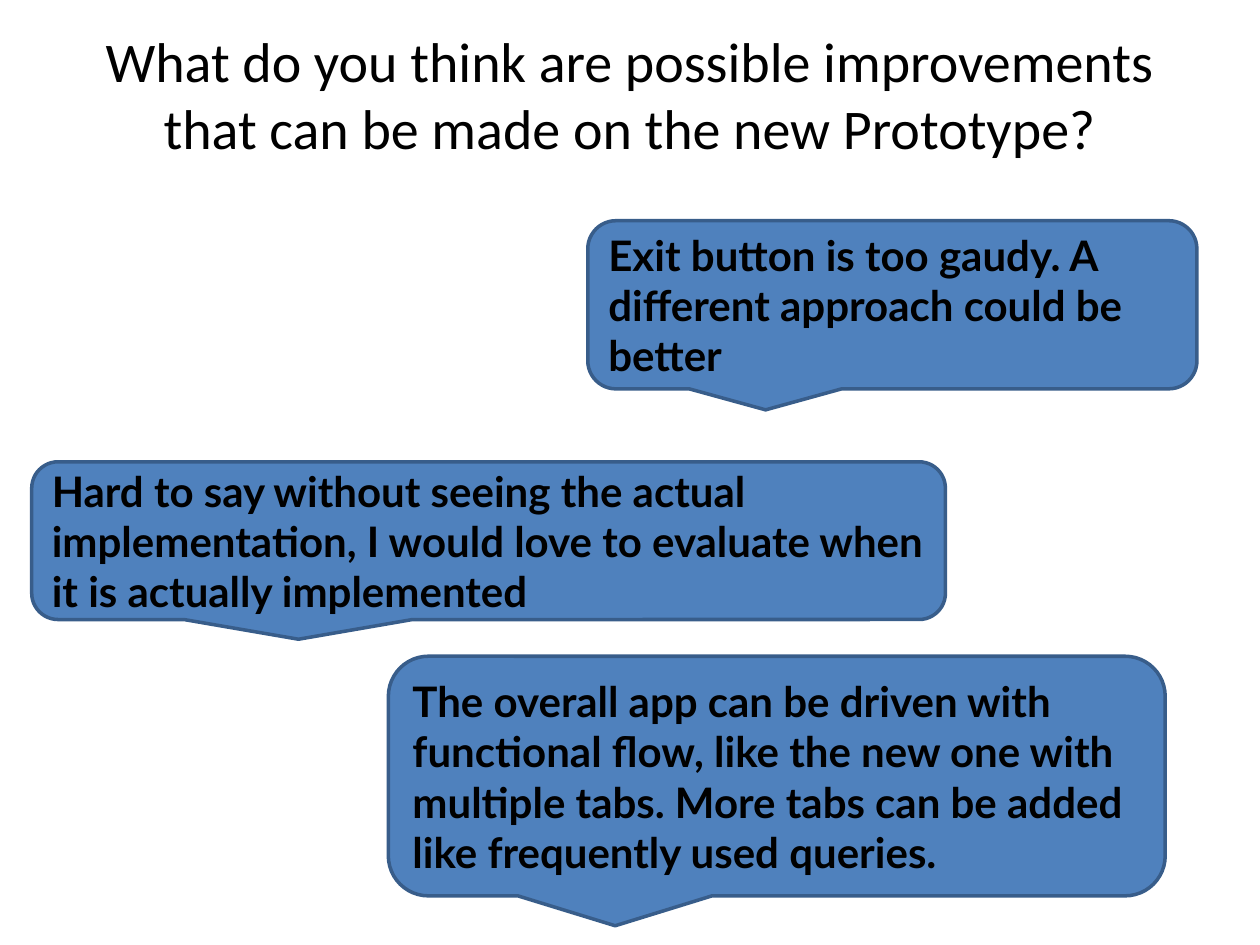
from pptx import Presentation
from pptx.dml.color import RGBColor
from pptx.enum.shapes import MSO_SHAPE
from pptx.enum.text import MSO_ANCHOR, PP_ALIGN
from pptx.util import Cm, Pt

BLACK = RGBColor(0x00, 0x00, 0x00)
BLUE = RGBColor(0x4F, 0x81, 0xBD)
DARK_BLUE = RGBColor(0x38, 0x5D, 0x8A)

TITLE_FONT = {"name": "Calibri", "size": Pt(32), "bold": False}
COMMENT_FONT = {"name": "Lato", "size": Pt(24), "bold": True}
FRAME_FORMAT = {
    "word_wrap": True,
    "vertical_anchor": MSO_ANCHOR.MIDDLE,
    "margin_left": Cm(0.25),
    "margin_right": Cm(0.25),
    "margin_top": Cm(0.13),
    "margin_bottom": Cm(0.13),
}
POINTER = (-0.208, 0.625, 0.167)

QUESTION = (
    "What do you think are possible improvements "
    "that can be made on the new Prototype?"
)
COMMENTS = [
    (
        (0.64, 9.31, 18.42, 3.18),
        "Hard to say without seeing the actual implementation, "
        "I would love to evaluate when it is actually implemented",
    ),
    (
        (11.85, 4.45, 12.28, 3.39),
        "Exit button is too gaudy. A different approach could be better",
    ),
    (
        (7.83, 13.23, 15.66, 4.83),
        "The overall app can be driven with functional flow, "
        "like the new one with multiple tabs. "
        "More tabs can be added like frequently used queries.",
    ),
]


def apply_format(target, values):
    for name, value in values.items():
        setattr(target, name, value)


def write_text(shape, text, font_format, alignment):
    frame = shape.text_frame
    apply_format(frame, FRAME_FORMAT)
    para = frame.paragraphs[0]
    para.alignment = alignment
    span = para.add_run()
    span.text = text
    apply_format(span.font, font_format)
    span.font.color.rgb = BLACK


def place_title(page, text):
    title = page.shapes.title
    place = {"left": Cm(1.27), "top": Cm(0.3), "width": Cm(22.86), "height": Cm(3.18)}
    apply_format(title, place)
    write_text(title, text, TITLE_FONT, PP_ALIGN.CENTER)


def add_comment(page, place, text):
    bubble = page.shapes.add_shape(
        MSO_SHAPE.ROUNDED_RECTANGULAR_CALLOUT, *(Cm(length) for length in place)
    )
    for index, value in enumerate(POINTER):
        bubble.adjustments[index] = value
    bubble.shadow.inherit = False
    bubble.fill.solid()
    bubble.fill.fore_color.rgb = BLUE
    bubble.line.color.rgb = DARK_BLUE
    bubble.line.width = Pt(2)
    write_text(bubble, text, COMMENT_FONT, PP_ALIGN.LEFT)


def main():
    deck = Presentation()
    apply_format(deck, {"slide_width": Cm(25.4), "slide_height": Cm(19.05)})
    page = deck.slides.add_slide(deck.slide_layouts[5])
    place_title(page, QUESTION)
    for place, text in COMMENTS:
        add_comment(page, place, text)
    deck.save("out.pptx")


if __name__ == "__main__":
    main()
